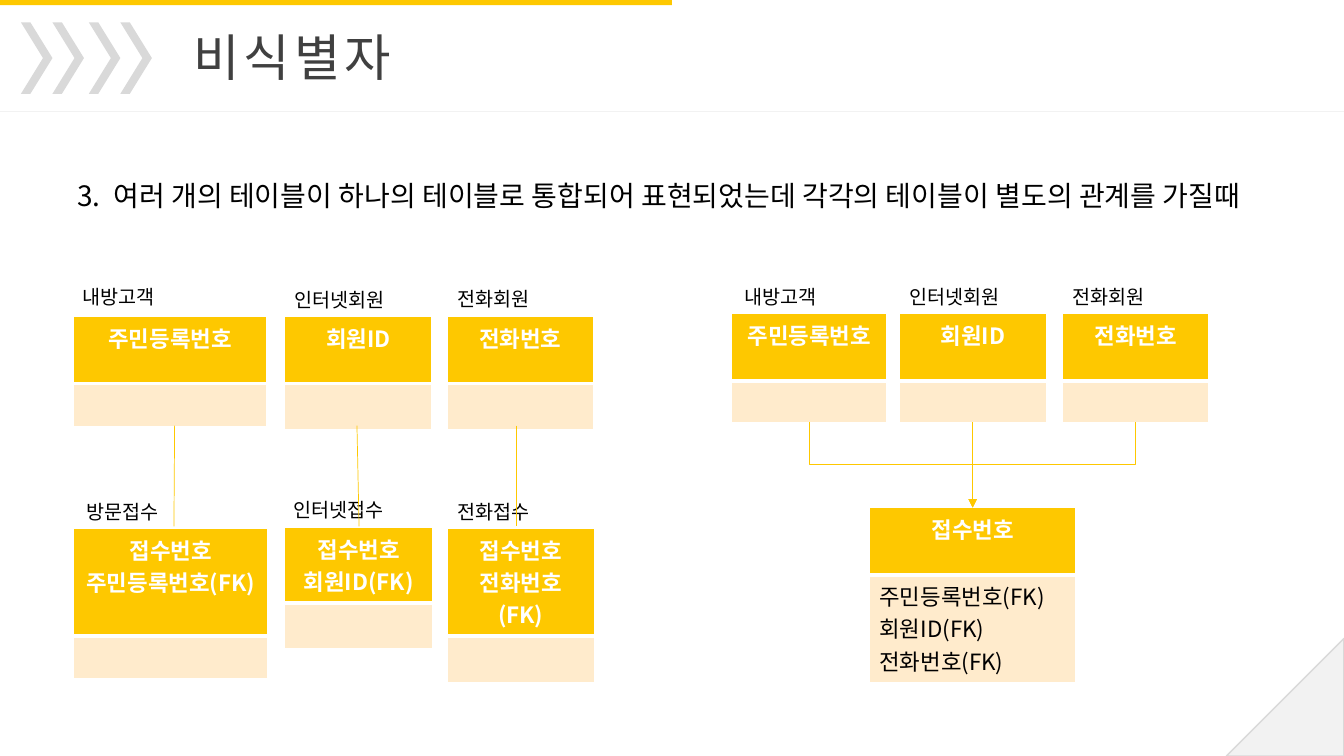
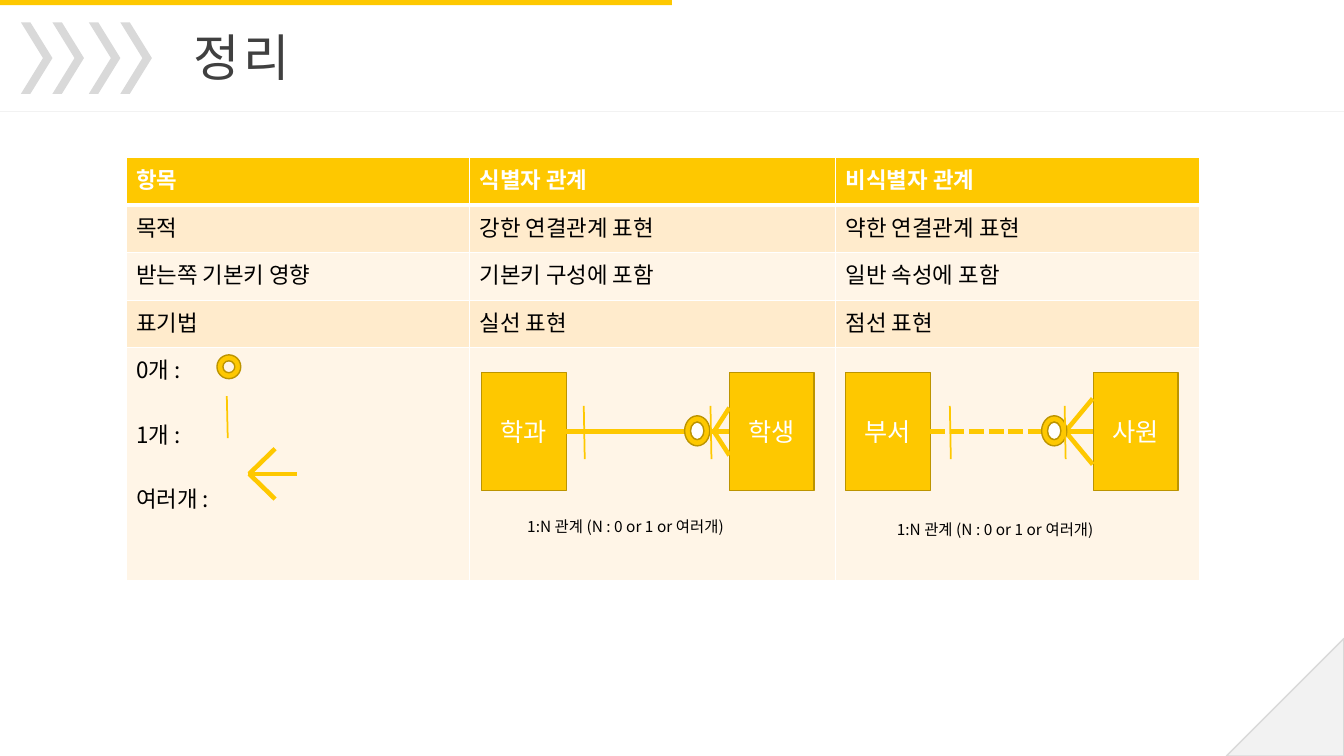
import pptx
import pptx.dml.color
import pptx.enum.dml
import pptx.enum.shapes
import pptx.enum.text
import pptx.oxml.ns
import pptx.util
from lxml import etree

Pt = pptx.util.Pt
qn = pptx.oxml.ns.qn
SHAPE = pptx.enum.shapes.MSO_SHAPE
LINK = pptx.enum.shapes.MSO_CONNECTOR
ALIGN = pptx.enum.text.PP_ALIGN
MIDDLE = pptx.enum.text.MSO_ANCHOR.MIDDLE
SYS_DASH = pptx.enum.dml.MSO_LINE.SQUARE_DOT

GOLD, DARK_GOLD, CREAM, PALE = "FEC800", "BC9400", "FFEBCC", "FFF5E7"
WHITE, BLACK, INK, GREY, LIGHT = "FFFFFF", "000000", "404040", "D9D9D9", "F2F2F2"
BODY_FONT, TITLE_FONT = "Noto Sans CJK KR", "Quicksand"


def rgb(color):
    return pptx.dml.color.RGBColor.from_string(color)


def write(frame, lines, size=16, color=BLACK, bold=False, align=ALIGN.LEFT,
          font=BODY_FONT, gap=0, tracking=0, hanging=0):
    """Fill a text frame, one paragraph per line, with gap before all but the first."""
    frame.word_wrap = True
    for index, line in enumerate(lines):
        paragraph = frame.add_paragraph() if index else frame.paragraphs[0]
        if hanging:
            properties = paragraph._p.get_or_add_pPr()
            properties.set("marL", str(Pt(hanging)))
            properties.set("indent", str(-Pt(hanging)))
        paragraph.alignment = align
        if index and gap:
            paragraph.space_before = Pt(gap)
        run = paragraph.add_run()
        run.text = line
        run.font.size = Pt(size)
        run.font.bold = bold
        run.font.name = font
        run.font.color.rgb = rgb(color)
        run_format = run.font._element
        etree.SubElement(run_format, qn("a:ea"), typeface=font)
        if tracking:
            run_format.set("spc", str(tracking * 100))


def add_borders(cell, top, bottom):
    """Draw white cell edges; the sides are 1 pt wide."""
    properties = cell._tc.get_or_add_tcPr()
    for index, (side, width) in enumerate(
            (("lnL", 1), ("lnR", 1), ("lnT", top), ("lnB", bottom))):
        edge = etree.Element(qn("a:" + side), w=str(Pt(width)))
        fill = etree.SubElement(edge, qn("a:solidFill"))
        etree.SubElement(fill, qn("a:srgbClr"), val=WHITE)
        properties.insert(index, edge)


class Deck:
    def __init__(self):
        self.show = pptx.Presentation()
        self.show.slide_width, self.show.slide_height = Pt(960), Pt(540)
        self.slide = None

    def start_slide(self, title, title_width):
        self.slide = self.show.slides.add_slide(self.show.slide_layouts[6])
        corner = self.shape(SHAPE.RIGHT_TRIANGLE, 876, 456, 84, 84, LIGHT, GREY)
        corner._element.spPr.find(qn("a:xfrm")).set("flipH", "1")
        self.shape(SHAPE.RECTANGLE, 0, 0, 480, 3.6, GOLD)
        self.line(0, 79.2, 960, 79.2, 0.5, LIGHT)
        for pair_left in (15, 63.5):
            for offset in (0, 22.5):
                chevron = self.shape(SHAPE.CHEVRON, pair_left + offset, 16, 22.5, 51, GREY)
                chevron.adjustments[0] = 0.7
        self.text(131, 15, title_width, 51, [title], size=36, color=INK,
                  font=TITLE_FONT, tracking=3, align=ALIGN.JUSTIFY)

    def shape(self, kind, left, top, width, height, fill, outline=None):
        shape = self.slide.shapes.add_shape(kind, Pt(left), Pt(top), Pt(width), Pt(height))
        shape.shadow.inherit = False
        shape.fill.solid()
        shape.fill.fore_color.rgb = rgb(fill)
        if outline:
            shape.line.color.rgb = rgb(outline)
            shape.line.width = Pt(1)
        else:
            shape.line.fill.background()
        return shape

    def text(self, left, top, width, height, lines, **style):
        box = self.slide.shapes.add_textbox(Pt(left), Pt(top), Pt(width), Pt(height))
        write(box.text_frame, lines, **style)

    def line(self, x1, y1, x2, y2, width, color=GOLD, kind=LINK.STRAIGHT, arrow=False):
        line = self.slide.shapes.add_connector(kind, Pt(x1), Pt(y1), Pt(x2), Pt(y2))
        line.line.color.rgb = rgb(color)
        line.line.width = Pt(width)
        if arrow:
            etree.SubElement(line.line._get_or_add_ln(), qn("a:tailEnd"), type="triangle")
        etree.SubElement(line._element.spPr, qn("a:effectLst"))
        return line

    def elbow_down(self, x1, y1, x2, y2):
        """Arrow that leaves downwards, turns halfway and arrives from above."""
        drop, run = y2 - y1, abs(x2 - x1)
        left, top = (x1 + x2 - drop) / 2, (y1 + y2 - run) / 2
        elbow = self.line(left, top, left + drop, top + run, 0.5,
                          kind=LINK.ELBOW, arrow=True)
        frame = elbow._element.spPr.find(qn("a:xfrm"))
        frame.set("rot", str((270 if x2 > x1 else 90) * 60000))
        if x2 > x1:
            frame.set("flipH", "1")

    def table(self, left, top, widths, heights, rows, fills, header_align=ALIGN.LEFT, gap=0):
        """Each cell of rows is a list of paragraphs; the first row is the header."""
        table = self.slide.shapes.add_table(
            len(heights), len(widths), Pt(left), Pt(top),
            Pt(sum(widths)), Pt(sum(heights))).table
        table.first_row = table.horz_banding = False
        for column, width in zip(table.columns, widths):
            column.width = Pt(width)
        for r, (height, cells, fill) in enumerate(zip(heights, rows, fills)):
            table.rows[r].height = Pt(height)
            header = r == 0
            for c, lines in enumerate(cells):
                cell = table.cell(r, c)
                cell.fill.solid()
                cell.fill.fore_color.rgb = rgb(fill)
                add_borders(cell, 3 if r == 1 else 1, 3 if header else 1)
                write(cell.text_frame, lines, bold=header, gap=gap,
                      color=WHITE if header else BLACK,
                      align=header_align if header else ALIGN.LEFT)

    def entity(self, left, top, width, heights, keys, attributes=()):
        self.table(left, top, [width], heights, [[keys], [attributes]],
                   [GOLD, CREAM], ALIGN.CENTER)

    def zero_mark(self, left, top, width, height):
        self.shape(SHAPE.DONUT, left, top, width, height, GOLD, DARK_GOLD)

    def one_mark(self, x, top, height):
        self.line(x, top, x + 0.7, top + height, 1.25)

    def many_mark(self, x, y, reach, spread, middle=0):
        """Crow's foot opening to the right; middle is the length of its centre toe."""
        for rise in (-spread, spread):
            self.line(x, y, x + reach, y + rise, 3.25)
        if middle:
            self.line(x - 1, y, x - 1 + middle, y, 3.25)

    def relation(self, left, names, tick_xs, circle_x, foot, caption_at, dash=None):
        parent, child = [
            self.shape(SHAPE.RECTANGLE, x, 266, 60.5, 84.5, GOLD, DARK_GOLD)
            for x in (left, left + 177)]
        for box, name in zip((parent, child), names):
            box.text_frame.vertical_anchor = MIDDLE
            write(box.text_frame, [name], size=18, color=WHITE, align=ALIGN.CENTER)
        link = self.line(left + 60.5, 308.25, left + 177, 308.25, 3.5)
        link.begin_connect(parent, 3)
        link.end_connect(child, 1)
        if dash:
            link.line.dash_style = dash
        self.many_mark(**foot)
        self.text(*caption_at, 182, 26.5, ["1:N 관계 (N : 0 or 1 or 여러개)"], size=11)
        self.zero_mark(circle_x, 297, 18, 21.5)
        for x in tick_xs:
            self.one_mark(x, 290, 38)
        self.shape(SHAPE.OVAL, circle_x + 4.25, 301.5, 9.5, 12.5, WHITE, DARK_GOLD)


def build_non_identifier(deck):
    deck.start_slide("비식별자", 176)
    # table left, top, width, row heights, keys, label, label left, label top
    entities = (
        (52.5, 226, 138, (48, 30.5), ["주민등록번호"], "내방고객", 52, 200),
        (203.5, 226, 105, (48, 33), ["회원ID"], "인터넷회원", 203.5, 202),
        (319.5, 226, 104.5, (48, 33), ["전화번호"], "전화회원", 319.5, 201.5),
        (52.5, 377.5, 139, (77, 30.5), ["접수번호", "주민등록번호(FK)"],
         "방문접수", 54.5, 353.5),
        (203.5, 376.5, 105.5, (54, 33), ["접수번호", "회원ID(FK)"],
         "인터넷접수", 202.5, 352),
        (319.5, 377.5, 105, (77, 33), ["접수번호", "전화번호(FK)"],
         "전화접수", 319.5, 353.5),
        (522.5, 224, 111, (48, 30), ["주민등록번호"], "내방고객", 524.5, 200),
        (642.5, 224, 105, (48, 30), ["회원ID"], "인터넷회원", 642.5, 200),
        (759, 224, 104.5, (48, 30), ["전화번호"], "전화회원", 759, 200),
    )
    for left, top, width, heights, keys, label, label_left, label_top in entities:
        deck.entity(left, top, width, heights, keys)
        deck.text(label_left, label_top, 100, 24.5, [label], size=14)
    deck.entity(621, 362.5, 147.5, (48, 77), ["접수번호"],
                ["주민등록번호(FK)", "회원ID(FK)", "전화번호(FK)"])

    for top_x, bottom_x in ((124.75, 124.25), (255, 256.5), (368.5, 368.5)):
        deck.line(top_x, 304, bottom_x, 376, 0.5)
    deck.text(48, 124, 864, 70,
              ["3.\t여러 개의 테이블이 하나의 테이블로 통합되어 표현되었는데 "
               "각각의 테이블이 별도의 관계를 가질때"], size=20, hanging=26)
    deck.elbow_down(578, 301.5, 694.75, 362.5)
    deck.line(694.75, 301.5, 694.75, 362.5, 0.5, arrow=True)
    deck.elbow_down(811, 301.5, 694.75, 362.5)


def build_summary(deck):
    deck.start_slide("정리", 743)
    rows = [
        [["항목"], ["식별자 관계"], ["비식별자 관계"]],
        [["목적"], ["강한 연결관계 표현"], ["약한 연결관계 표현"]],
        [["받는쪽 기본키 영향"], ["기본키 구성에 포함"], ["일반 속성에 포함"]],
        [["표기법"], ["실선 표현"], ["점선 표현"]],
        [["0개 :", "1개 :", "여러개 :"], [], []],
    ]
    deck.table(90, 112.5, [245.5, 261.5, 260], [34] * 4 + [166], rows,
               [GOLD, CREAM, PALE, CREAM, PALE], gap=23)
    deck.zero_mark(155, 253.5, 17, 17)
    deck.one_mark(162, 283, 30)
    deck.many_mark(178, 338.5, 18.5, 18, middle=35)
    deck.relation(344, ("학과", "학생"), (417, 507.5), 489,
                  dict(x=510, y=308.25, reach=11, spread=17), (369.5, 366))
    deck.relation(604, ("부서", "사원"), (678.5, 760.5), 744,
                  dict(x=761, y=308.25, reach=19.5, spread=23.5, middle=20),
                  (633.5, 368), SYS_DASH)


def main():
    deck = Deck()
    build_non_identifier(deck)
    build_summary(deck)
    deck.show.save("out.pptx")


if __name__ == "__main__":
    main()
